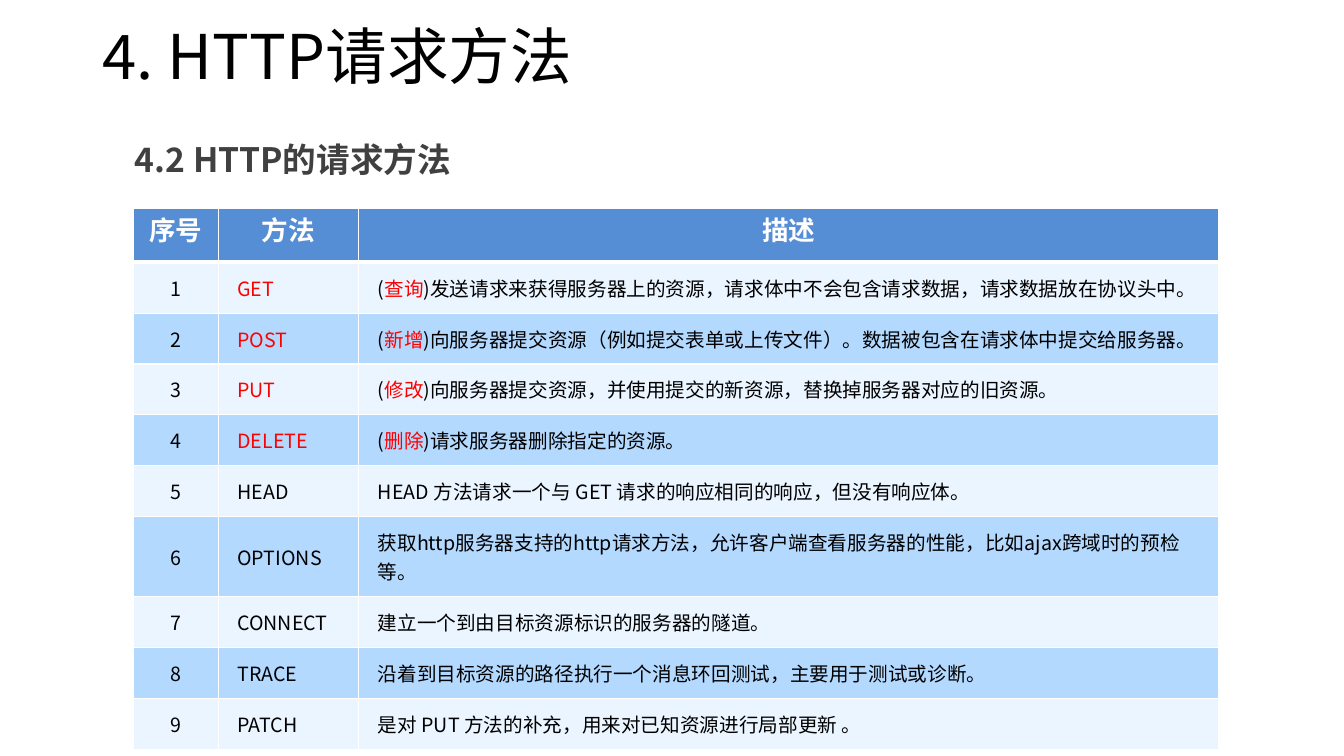
from dataclasses import dataclass

from pptx import Presentation
from pptx.dml.color import RGBColor
from pptx.enum.text import MSO_ANCHOR, PP_ALIGN
from pptx.oxml import parse_xml
from pptx.oxml.ns import nsdecls
from pptx.util import Cm, Pt

# Content
TITLE = "4. HTTP请求方法"
SUBTITLE = "4.2 HTTP的请求方法"
HEADINGS = ("序号", "方法", "描述")
# Method, highlighted action (if any), description, lines of description
METHODS = [
    ("GET", "查询", "发送请求来获得服务器上的资源，请求体中不会包含请求数据，请求数据放在协议头中。", 1),
    ("POST", "新增", "向服务器提交资源（例如提交表单或上传文件）。数据被包含在请求体中提交给服务器。", 1),
    ("PUT", "修改", "向服务器提交资源，并使用提交的新资源，替换掉服务器对应的旧资源。", 1),
    ("DELETE", "删除", "请求服务器删除指定的资源。", 1),
    ("HEAD", None, "HEAD 方法请求一个与 GET 请求的响应相同的响应，但没有响应体。", 1),
    ("OPTIONS", None, "获取http服务器支持的http请求方法，允许客户端查看服务器的性能，比如ajax跨域时的预检等。", 2),
    ("CONNECT", None, "建立一个到由目标资源标识的服务器的隧道。", 1),
    ("TRACE", None, "沿着到目标资源的路径执行一个消息环回测试，主要用于测试或诊断。", 1),
    ("PATCH", None, "是对 PUT 方法的补充，用来对已知资源进行局部更新 。", 1),
]


@dataclass(frozen=True)
class Theme:
    font: str = "Noto Sans CJK SC"
    title_size: int = 44
    subtitle_size: int = 24
    heading_size: int = 19
    body_size: int = 14
    ink: str = "000000"
    subtitle: str = "404040"
    accent: str = "FF0000"
    light: str = "FFFFFF"
    heading_fill: str = "558ED5"
    row_fills: tuple = ("EBF5FF", "B3D9FF")
    rule: int = 1
    heading_rule: int = 3


THEME = Theme()

# Layout
TITLE_BOX = (Cm(2.34), Cm(0.03), Cm(24.94), Cm(2.92))
SUBTITLE_BOX = (Cm(3.15), Cm(3.48), Cm(24.13), Cm(2.01))
TABLE_LEFT, TABLE_TOP = Cm(3.36), Cm(5.26)
COLUMN_WIDTHS = (Cm(2.14), Cm(3.54), Cm(21.67))
HEADING_HEIGHT, ROW_HEIGHT, EXTRA_LINE = Cm(1.35), Cm(1.28), Cm(0.75)
HEADING_MARGINS = (Cm(0.33), Cm(0.16))
BODY_MARGINS = (Cm(0.48), Cm(0.28))


def write(paragraph, text, *, size=THEME.body_size, color=THEME.ink, bold=False,
          align=PP_ALIGN.LEFT, spacing=None):
    paragraph.alignment = align
    if spacing:
        paragraph.line_spacing = spacing
    run = paragraph.add_run()
    run.text = text
    run.font.size = Pt(size)
    run.font.bold = bold
    run.font.color.rgb = RGBColor.from_string(color)
    run.font.name = THEME.font
    run.font._element.append(
        parse_xml(f'<a:ea {nsdecls("a")} typeface="{THEME.font}"/>'))


def add_heading(slide, box, text, anchor, **style):
    frame = slide.shapes.add_textbox(*box).text_frame
    frame.word_wrap = True
    frame.vertical_anchor = anchor
    write(frame.paragraphs[0], text, spacing=0.9, **style)


def format_cell(cell, fill, margins, anchor, top=THEME.rule, bottom=THEME.rule):
    cell.margin_left = cell.margin_right = margins[0]
    cell.margin_top = cell.margin_bottom = margins[1]
    cell.vertical_anchor = anchor
    properties = cell._tc.get_or_add_tcPr()
    for side, width in (("L", THEME.rule), ("R", THEME.rule), ("T", top), ("B", bottom)):
        properties.append(parse_xml(
            f'<a:ln{side} {nsdecls("a")} w="{Pt(width)}"><a:solidFill>'
            f'<a:srgbClr val="{THEME.light}"/></a:solidFill></a:ln{side}>'))
    cell.fill.solid()
    cell.fill.fore_color.rgb = RGBColor.from_string(fill)


def add_methods_table(slide):
    heights = [HEADING_HEIGHT] + [
        ROW_HEIGHT + (lines - 1) * EXTRA_LINE for *_, lines in METHODS]
    table = slide.shapes.add_table(
        len(heights), len(HEADINGS), TABLE_LEFT, TABLE_TOP,
        sum(COLUMN_WIDTHS), sum(heights)).table
    for column, width in zip(table.columns, COLUMN_WIDTHS):
        column.width = width
    for row, height in zip(table.rows, heights):
        row.height = height

    # Heading row
    for cell, heading in zip(table.rows[0].cells, HEADINGS):
        format_cell(cell, THEME.heading_fill, HEADING_MARGINS, MSO_ANCHOR.TOP,
                    bottom=THEME.heading_rule)
        write(cell.text_frame.paragraphs[0], heading, size=THEME.heading_size,
              color=THEME.light, bold=True, align=PP_ALIGN.CENTER, spacing=Pt(24))

    # One row per method
    for number, (method, action, description, _) in enumerate(METHODS, start=1):
        cells = list(table.rows[number].cells)
        for cell in cells:
            format_cell(cell, THEME.row_fills[(number - 1) % 2], BODY_MARGINS,
                        MSO_ANCHOR.MIDDLE,
                        top=THEME.heading_rule if number == 1 else THEME.rule)
        number_line, method_line, description_line = (
            cell.text_frame.paragraphs[0] for cell in cells)
        write(number_line, str(number), align=PP_ALIGN.CENTER)
        write(method_line, method, color=THEME.accent if action else THEME.ink)
        if action:
            write(description_line, "(")
            write(description_line, action, color=THEME.accent)
            description = ")" + description
        write(description_line, description)


def main():
    presentation = Presentation()
    presentation.slide_width, presentation.slide_height = Cm(33.87), Cm(19.05)
    slide = presentation.slides.add_slide(presentation.slide_layouts[6])
    add_heading(slide, TITLE_BOX, TITLE, MSO_ANCHOR.MIDDLE, size=THEME.title_size)
    add_heading(slide, SUBTITLE_BOX, SUBTITLE, MSO_ANCHOR.TOP,
                size=THEME.subtitle_size, color=THEME.subtitle, bold=True)
    add_methods_table(slide)
    presentation.save("out.pptx")


if __name__ == "__main__":
    main()
